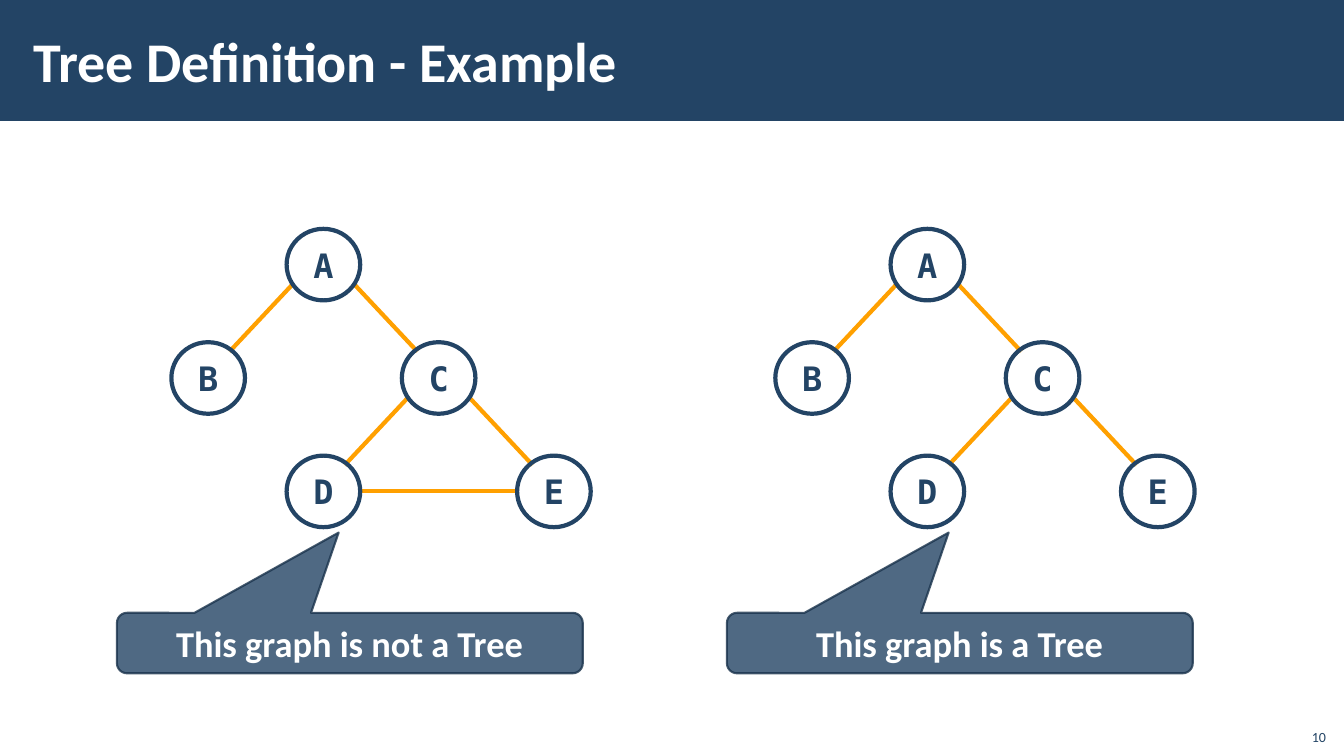
from pptx import Presentation
from pptx.dml.color import RGBColor
from pptx.enum.shapes import MSO_CONNECTOR, MSO_SHAPE
from pptx.enum.text import MSO_ANCHOR, PP_ALIGN
from pptx.oxml.ns import qn
from pptx.util import Inches, Pt
from lxml.etree import SubElement

NAVY, DARK, ORANGE, WHITE = "234465", "1A334C", "FFA000", "FFFFFF"
TITLE = "Tree Definition - Example"
PAGE_NUMBER = "10"
NODES = {"A": (1, 0), "B": (0, 1), "D": (1, 2), "E": (3, 2), "C": (2, 1)}
TREE_EDGES = ["CD", "CE", "AB", "AC"]
GRAPHS = [
    {"left": 1.7, "callout_left": 1.16, "edges": ["DE"] + TREE_EDGES,
     "caption": "This graph is not a Tree"},
    {"left": 7.69, "callout_left": 7.21, "edges": TREE_EDGES,
     "caption": "This graph is a Tree"},
]
TOP, STEP_X, STEP_Y = 2.27, 1.143, 1.125
NODE_WIDTH, NODE_HEIGHT = 0.73, 0.71


def color(value):
    return RGBColor.from_string(value)


def set_alpha(fill_parent, percent):
    rgb = fill_parent.find(qn("a:solidFill")).find(qn("a:srgbClr"))
    SubElement(rgb, qn("a:alpha")).set("val", str(percent * 1000))


def write(shape, text, size, ink, font="Calibri", bold=True,
          align=PP_ALIGN.CENTER, anchor=MSO_ANCHOR.MIDDLE, wrap=True):
    frame = shape.text_frame
    frame.word_wrap = wrap
    frame.vertical_anchor = anchor
    para = frame.paragraphs[0]
    para.text = text
    para.alignment = align
    para.font.name, para.font.size, para.font.bold = font, Pt(size), bold
    para.font.color.rgb = color(ink)


def add_box(shapes, kind, area, fill, fill_alpha=100, line=None, width=0):
    box = shapes.add_shape(kind, *map(Inches, area))
    box.shadow.inherit = False
    box.fill.solid()
    box.fill.fore_color.rgb = color(fill)
    if fill_alpha < 100:
        set_alpha(box.element.spPr, fill_alpha)
    if line:
        box.line.color.rgb = color(line)
        box.line.width = Pt(width)
    else:
        box.line.fill.background()
    return box


def center(graph, name):
    column, row = NODES[name]
    return (graph["left"] + column * STEP_X + NODE_WIDTH / 2,
            TOP + row * STEP_Y + NODE_HEIGHT / 2)


def add_edge(shapes, graph, edge):
    (x1, y1), (x2, y2) = (center(graph, name) for name in edge)
    side = 1 if x2 > x1 else -1
    if y1 == y2:
        x1, x2 = x1 + NODE_WIDTH / 2, x2 - NODE_WIDTH / 2
    else:
        x1, y1 = x1 + side * 0.31, y1 + 0.2
        x2, y2 = x2 - side * 0.21, y2 - 0.26
    line = shapes.add_connector(MSO_CONNECTOR.STRAIGHT, *map(Inches, (x1, y1, x2, y2)))
    line.line.color.rgb = color(ORANGE)
    line.line.width = Pt(3)
    SubElement(line.element.spPr, qn("a:effectLst"))


def add_graph(page, graph):
    shapes = page.shapes.add_group_shape().shapes
    for edge in graph["edges"]:
        add_edge(shapes, graph, edge)
    for name in NODES:
        x, y = center(graph, name)
        area = (x - NODE_WIDTH / 2, y - NODE_HEIGHT / 2, NODE_WIDTH, NODE_HEIGHT)
        node = add_box(shapes, MSO_SHAPE.OVAL, area, WHITE, 50, NAVY, 3)
        write(node, name, 24, NAVY, "DejaVu Sans Mono", wrap=False)


def add_callout(page, graph):
    callout = add_box(page.shapes, MSO_SHAPE.ROUNDED_RECTANGULAR_CALLOUT,
                      (graph["callout_left"], 6.08, 4.62, 0.6), NAVY, 80, DARK, 1.5)
    set_alpha(callout.element.spPr.find(qn("a:ln")), 80)
    for index, value in enumerate((-0.024, -1.827, 0.167)):
        callout.adjustments[index] = value
    write(callout, graph["caption"], 26, WHITE)


def main():
    deck = Presentation()
    deck.slide_width, deck.slide_height = Inches(13.33), Inches(7.5)
    page = deck.slides.add_slide(deck.slide_layouts[5])

    title = page.shapes.title
    title.left, title.top, title.width, title.height = map(Inches, (0.21, 0.11, 10.63, 0.97))
    write(title, TITLE, 40, WHITE, align=PP_ALIGN.LEFT)
    frame = title.text_frame
    frame.margin_left = frame.margin_right = Inches(0.12)
    frame.margin_top = frame.margin_bottom = Inches(0.04)
    band = add_box(page.shapes, MSO_SHAPE.RECTANGLE, (0, 0, 13.33, 1.2), NAVY)
    title.element.addprevious(band.element)

    number = page.shapes.add_textbox(*map(Inches, (12.85, 7.12, 0.4, 0.32)))
    write(number, PAGE_NUMBER, 10, NAVY, bold=False,
          align=PP_ALIGN.RIGHT, anchor=MSO_ANCHOR.BOTTOM)

    for graph in GRAPHS:
        add_graph(page, graph)
        add_callout(page, graph)
    deck.save("out.pptx")


if __name__ == "__main__":
    main()
